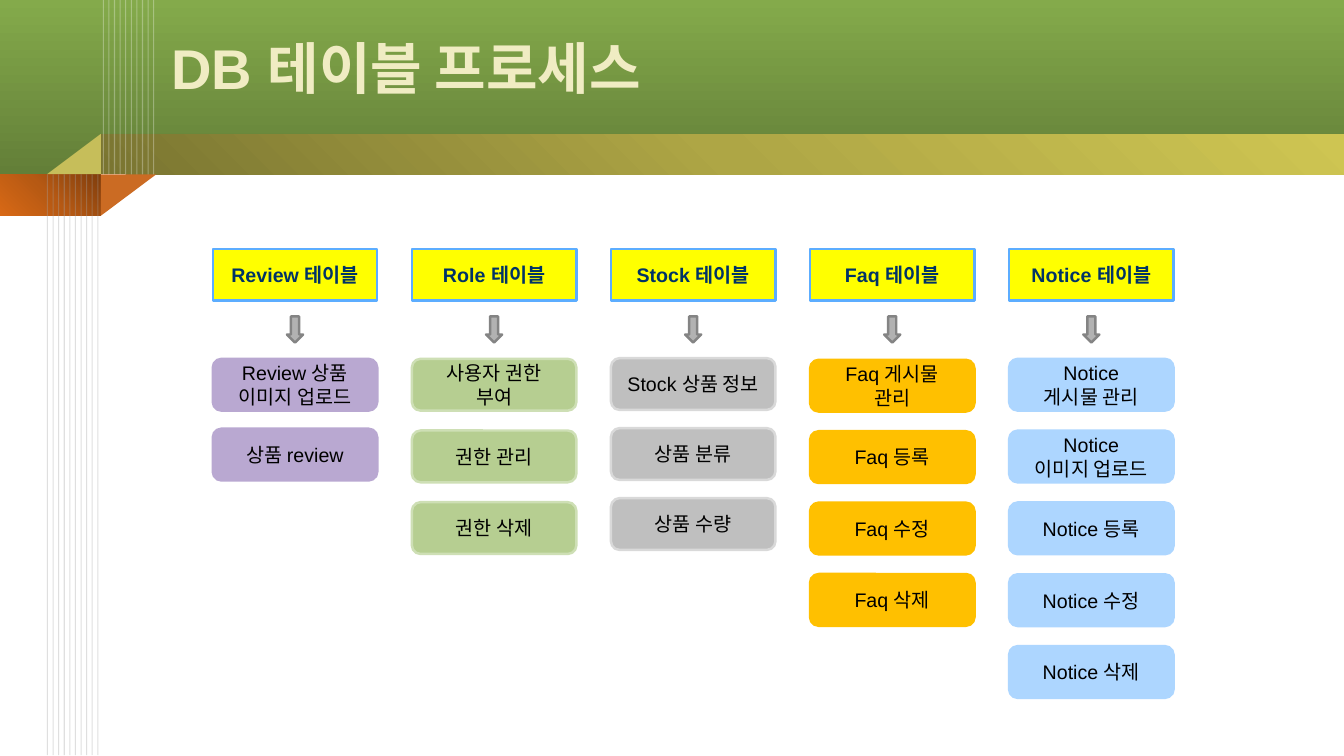
"""Builds the slide that lists the processes of each DB table."""
from lxml.etree import SubElement
from pptx import Presentation
from pptx.dml.color import RGBColor
from pptx.enum.shapes import MSO_CONNECTOR, MSO_SHAPE as SHAPE
from pptx.enum.text import MSO_ANCHOR as ANCHOR, PP_ALIGN as ALIGN
from pptx.oxml import parse_xml
from pptx.oxml.ns import nsdecls, qn
from pptx.util import Pt

WHITE = RGBColor(0xFF, 0xFF, 0xFF)
BLACK = RGBColor(0x00, 0x00, 0x00)
CREAM = RGBColor(0xF0, 0xEC, 0xC3)
NAVY = RGBColor(0x00, 0x33, 0x66)
YELLOW = RGBColor(0xFF, 0xFF, 0x00)
BLUE = RGBColor(0x5C, 0xAD, 0xFF)
STRIPE_GRAY = RGBColor(0xA6, 0xA6, 0xA6)
ARROW_GRAY = RGBColor(0xB2, 0xB2, 0xB2)
ARROW_EDGE = RGBColor(0x84, 0x84, 0x84)
RUST = RGBColor(0xCB, 0x6B, 0x23)
KHAKI = RGBColor(0xC6, 0xBE, 0x5A)
PURPLE = RGBColor(0xB9, 0xA8, 0xD1)
GREEN = RGBColor(0xB6, 0xCE, 0x91)
GREEN_EDGE = RGBColor(0xCE, 0xDF, 0xB5)
GRAY = RGBColor(0xBF, 0xBF, 0xBF)
GRAY_EDGE = RGBColor(0xD9, 0xD9, 0xD9)
ORANGE = RGBColor(0xFF, 0xC0, 0x00)
SKY = RGBColor(0xAD, 0xD6, 0xFF)
GREENS = [(0, RGBColor(0x84, 0xAA, 0x4B)), (100, RGBColor(0x63, 0x7F, 0x38))]
OLIVES = [(0, RGBColor(0x7A, 0x75, 0x31)), (50, RGBColor(0xAE, 0xA6, 0x45)),
          (100, RGBColor(0xCE, 0xC5, 0x52))]
RUSTS = [(0, RGBColor(0x80, 0x3E, 0x0D)), (50, RGBColor(0xB6, 0x59, 0x13)),
         (100, RGBColor(0xD8, 0x69, 0x16))]
CORNER_GLOW = ('<a:path path="circle">'
               '<a:fillToRect l="100000" t="0" r="0" b="100000"/></a:path>')

BOX_W, BOX_H = 117.5, 37
FIRST_LEFT, COLUMN_STEP = 152, 142.2
HEADER_TOP, ARROW_TOP = 177.7, 226
ARROW_W, ARROW_H = 11.5, 18.7
STRIPES, STRIPE_STEP = 10, 4

TABLES = [
    ("Review 테이블", PURPLE, PURPLE, 256.3, 49.9,
     ["Review 상품\n이미지 업로드", "상품 review"]),
    ("Role 테이블", GREEN, GREEN_EDGE, 256.3, 51.2,
     ["사용자 권한\n부여", "권한 관리", "권한 삭제"]),
    ("Stock 테이블", GRAY, GRAY_EDGE, 255.8, 50,
     ["Stock 상품 정보", "상품 분류", "상품 수량"]),
    ("Faq 테이블", ORANGE, ORANGE, 257, 51,
     ["Faq 게시물\n관리", "Faq 등록", "Faq 수정", "Faq 삭제"]),
    ("Notice 테이블", SKY, SKY, 256.3, 51.3,
     ["Notice\n게시물 관리", "Notice\n이미지 업로드", "Notice 등록",
      "Notice 수정", "Notice 삭제"]),
]


def write(frame, text, size=14, color=BLACK, bold=False, align=ALIGN.CENTER,
          inset=0):
    frame.word_wrap = True
    frame.vertical_anchor = ANCHOR.MIDDLE
    frame.margin_left = frame.margin_right = Pt(inset)
    frame.margin_top = frame.margin_bottom = 0
    frame.text = text
    for paragraph in frame.paragraphs:
        paragraph.alignment = align
        for run in paragraph.runs:
            run.font.name = "Arial"
            run.font.size = Pt(size)
            run.font.bold = bold
            run.font.color.rgb = color


class TableSlide:
    def __init__(self, slide, edge_width=1.75):
        self.slide = slide
        self.edge_width = edge_width

    def shape(self, kind, left, top, width, height, fill=None, edge=None, turn=0):
        shape = self.slide.shapes.add_shape(
            kind, Pt(left), Pt(top), Pt(width), Pt(height))
        shape.shadow.inherit = False
        shape.rotation = turn
        if fill is not None:
            shape.fill.solid()
            shape.fill.fore_color.rgb = fill
        if edge is None:
            shape.line.fill.background()
        else:
            shape.line.color.rgb = edge
            shape.line.width = Pt(self.edge_width)
        return shape

    def band(self, left, top, width, height, stops, direction):
        band = self.shape(SHAPE.RECTANGLE, left, top, width, height)
        colors = "".join(
            f'<a:gs pos="{place * 1000}"><a:srgbClr val="{color}"/></a:gs>'
            for place, color in stops)
        gradient = parse_xml(
            f'<a:gradFill {nsdecls("a")} rotWithShape="1">'
            f'<a:gsLst>{colors}</a:gsLst>{direction}</a:gradFill>')
        band.element.spPr.find(qn("a:prstGeom")).addnext(gradient)

    def stripes(self, left, top, bottom, color, opacity):
        for i in range(STRIPES):
            x = Pt(left + i * STRIPE_STEP)
            stripe = self.slide.shapes.add_connector(
                MSO_CONNECTOR.STRAIGHT, x, Pt(top), x, Pt(bottom))
            stripe.line.color.rgb = color
            stripe.line.width = Pt(0.75)
            properties = stripe.element.spPr
            tint = properties.find(".//" + qn("a:srgbClr"))
            SubElement(tint, qn("a:alpha"), val=str(opacity * 1000))
            SubElement(properties, qn("a:effectLst"))

    def title(self, text):
        title = self.slide.shapes.title
        title.left, title.top = Pt(115.2), Pt(2.9)
        title.width, title.height = Pt(804), Pt(90)
        title.element.getparent().append(title.element)
        write(title.text_frame, text, size=40, color=CREAM, bold=True,
              align=ALIGN.LEFT, inset=7.2)

    def box(self, kind, left, top, text, fill, edge, **style):
        box = self.shape(kind, left, top, BOX_W, BOX_H, fill, edge)
        write(box.text_frame, text, **style)

    def column(self, left, name, fill, edge, top, step, tasks):
        self.box(SHAPE.RECTANGLE, left, HEADER_TOP, name, YELLOW, BLUE,
                 color=NAVY, bold=True)
        self.shape(SHAPE.DOWN_ARROW, left + (BOX_W - ARROW_W) / 2, ARROW_TOP,
                   ARROW_W, ARROW_H, ARROW_GRAY, ARROW_EDGE)
        for row, task in enumerate(tasks):
            self.box(SHAPE.ROUNDED_RECTANGLE, left, top + row * step, task,
                     fill, edge)


def main():
    deck = Presentation()
    deck.slide_width, deck.slide_height = Pt(960), Pt(540)
    page = TableSlide(deck.slides.add_slide(deck.slide_layouts[5]))

    page.band(0, 0, 960, 124.6, GREENS, '<a:lin ang="5400000" scaled="0"/>')
    page.band(72, 95.8, 888, 28.8, OLIVES, '<a:lin ang="18900000" scaled="0"/>')
    page.band(0, 124.6, 72, 29.5, RUSTS, CORNER_GLOW)
    page.shape(SHAPE.RIGHT_TRIANGLE, 77, 119.6, 29.5, 39.5, RUST, turn=90)
    page.shape(SHAPE.RIGHT_TRIANGLE, 38.4, 90.8, 28.8, 38.4, KHAKI, turn=270)
    page.stripes(73.8, 0, 124.6, WHITE, 30)
    page.stripes(33.9, 124.6, 539.3, STRIPE_GRAY, 35)

    page.title("DB 테이블 프로세스")
    for i, table in enumerate(TABLES):
        page.column(FIRST_LEFT + i * COLUMN_STEP, *table)
    deck.save("out.pptx")


if __name__ == "__main__":
    main()
